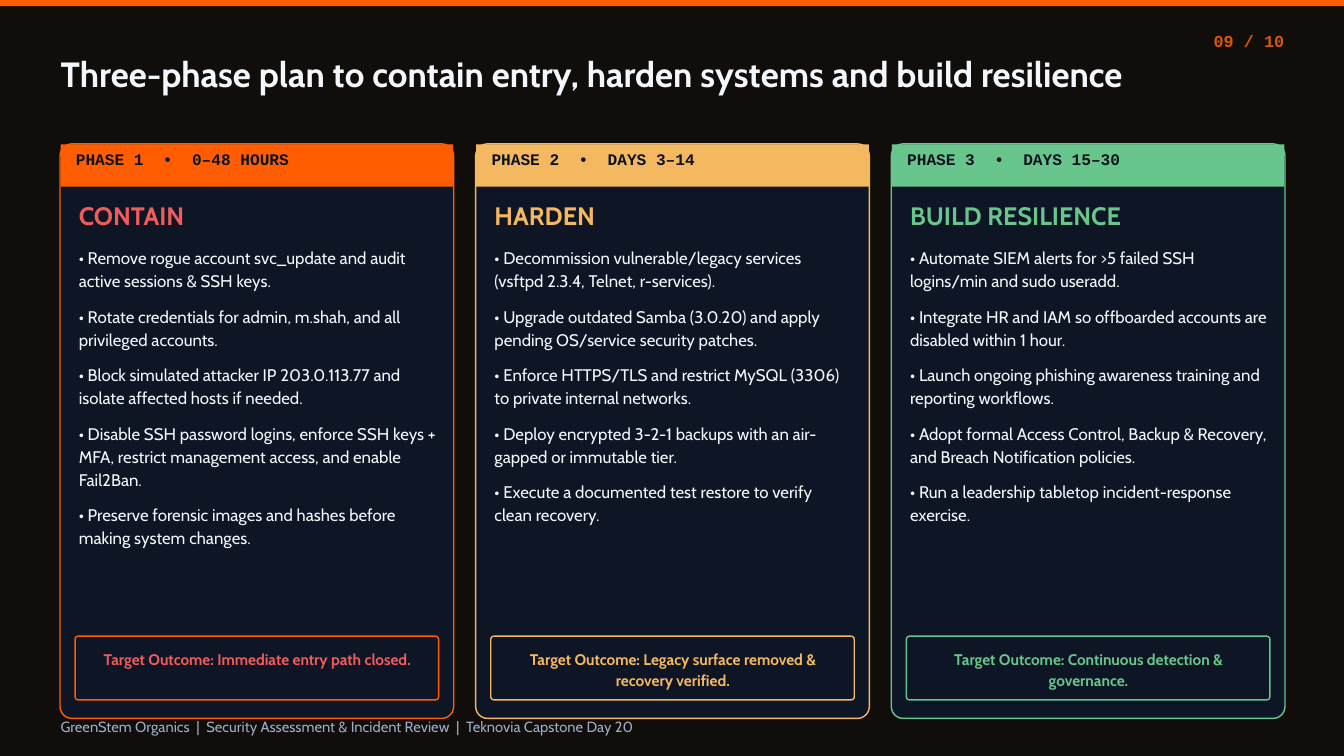
from dataclasses import dataclass

from pptx import Presentation
from pptx.dml.color import RGBColor
from pptx.enum.shapes import MSO_SHAPE as Preset
from pptx.enum.text import PP_ALIGN as Align
from pptx.util import Cm, Pt


@dataclass(frozen=True)
class Theme:
    # Colours
    background: str = "110D0B"
    panel: str = "0E1626"
    text: str = "F4F7FB"
    ink: str = "0B1220"
    muted: str = "9CADC6"
    orange: str = "FF5D00"
    page_number: str = "D7570E"
    red: str = "F05B5B"
    amber: str = "F4B860"
    green: str = "68C68C"
    # Fonts
    sans: str = "Cabin"
    mono: str = "Courier New"
    # Type styles: size and line spacing in points
    title: tuple = (37.5, 51.8)
    number: tuple = (18, 24.9)
    label: tuple = (17.3, 23.8)
    heading: tuple = (27, 37.3)
    body: tuple = (18, 24.6)
    outcome: tuple = (16.5, 22.8)
    footer: tuple = (15.8, 21.8)
    action_gap: float = 13.5
    outline: float = 1.5


THEME = Theme()
CARD_LEFT, CARD_TOP = 2.27, 5.44
CARD_WIDTH, CARD_HEIGHT = 14.88, 21.72
CARD_PITCH = 15.71


@dataclass(frozen=True)
class Phase:
    label: str
    heading: str
    accent: str
    text_color: str
    actions: tuple
    outcome: str


PHASES = (
    Phase(
        "PHASE 1  •  0–48 HOURS", "CONTAIN", THEME.orange, THEME.red,
        (
            "Remove rogue account svc_update and audit active sessions & SSH keys.",
            "Rotate credentials for admin, m.shah, and all privileged accounts.",
            "Block simulated attacker IP 203.0.113.77 and isolate affected hosts if needed.",
            "Disable SSH password logins, enforce SSH keys + MFA, restrict management "
            "access, and enable Fail2Ban.",
            "Preserve forensic images and hashes before making system changes.",
        ),
        "Immediate entry path closed.",
    ),
    Phase(
        "PHASE 2  •  DAYS 3–14", "HARDEN", THEME.amber, THEME.amber,
        (
            "Decommission vulnerable/legacy services (vsftpd 2.3.4, Telnet, r-services).",
            "Upgrade outdated Samba (3.0.20) and apply pending OS/service security patches.",
            "Enforce HTTPS/TLS and restrict MySQL (3306) to private internal networks.",
            "Deploy encrypted 3-2-1 backups with an air-gapped or immutable tier.",
            "Execute a documented test restore to verify clean recovery.",
        ),
        "Legacy surface removed & recovery verified.",
    ),
    Phase(
        "PHASE 3  •  DAYS 15–30", "BUILD RESILIENCE", THEME.green, THEME.green,
        (
            "Automate SIEM alerts for >5 failed SSH logins/min and sudo useradd.",
            "Integrate HR and IAM so offboarded accounts are disabled within 1 hour.",
            "Launch ongoing phishing awareness training and reporting workflows.",
            "Adopt formal Access Control, Backup & Recovery, and Breach Notification policies.",
            "Run a leadership tabletop incident-response exercise.",
        ),
        "Continuous detection & governance.",
    ),
)


def color(value):
    return RGBColor.from_string(value)


def add_panel(page, left, top, width, height, fill, line=None, radius=None):
    """Add a filled rectangle, rounded when a radius is given (in cm)."""
    preset = Preset.ROUNDED_RECTANGLE if radius else Preset.RECTANGLE
    panel = page.shapes.add_shape(preset, Cm(left), Cm(top), Cm(width), Cm(height))
    panel.shadow.inherit = False
    if radius:
        panel.adjustments[0] = radius / min(width, height)
    panel.fill.solid()
    panel.fill.fore_color.rgb = color(fill)
    if line:
        panel.line.color.rgb = color(line)
        panel.line.width = Pt(THEME.outline)
    else:
        panel.line.fill.background()


def add_text(page, left, top, width, height, lines, style, ink,
             font=THEME.sans, bold=False, align=Align.LEFT, gap=0):
    """Add a text box without insets, one paragraph for each line."""
    box = page.shapes.add_textbox(Cm(left), Cm(top), Cm(width), Cm(height))
    frame = box.text_frame
    frame.word_wrap = True
    frame.margin_left = frame.margin_right = 0
    frame.margin_top = frame.margin_bottom = 0
    size, spacing = style
    for index, line in enumerate(lines):
        para = frame.add_paragraph() if index else frame.paragraphs[0]
        para.alignment = align
        para.line_spacing = Pt(spacing)
        if index and gap:
            para.space_before = Pt(gap)
        span = para.add_run()
        span.text = line
        span.font.name = font
        span.font.size = Pt(size)
        span.font.bold = bold
        span.font.color.rgb = color(ink)


def add_phase_card(page, left, phase):
    # Card and coloured header band
    add_panel(page, left, CARD_TOP, CARD_WIDTH, CARD_HEIGHT,
              THEME.panel, phase.accent, radius=0.45)
    add_panel(page, left + 0.02, 5.46, CARD_WIDTH - 0.04, 1.6, phase.accent)
    add_text(page, left + 0.6, 5.54, 13.72, 1.32, [phase.label],
             THEME.label, THEME.ink, font=THEME.mono, bold=True)

    # Heading and actions
    add_text(page, left + 0.71, 7.39, 13.54, 1.73, [phase.heading],
             THEME.heading, phase.text_color, bold=True)
    add_text(page, left + 0.71, 9.27, 13.54, 14.38,
             [f"• {action}" for action in phase.actions],
             THEME.body, THEME.text, gap=THEME.action_gap)

    # Target outcome
    add_panel(page, left + 0.57, 24.05, 13.74, 2.41,
              THEME.panel, phase.accent, radius=0.12)
    add_text(page, left + 0.94, 24.46, 13.03, 1.52,
             [f"Target Outcome: {phase.outcome}"],
             THEME.outcome, phase.text_color, bold=True, align=Align.CENTER)


def main():
    deck = Presentation()
    deck.slide_width, deck.slide_height = Cm(50.8), Cm(28.58)
    page = deck.slides.add_slide(deck.slide_layouts[6])
    page.background.fill.solid()
    page.background.fill.fore_color.rgb = color(THEME.background)

    # Top bar, title and page number
    add_panel(page, 0, 0, 50.8, 0.23, THEME.orange)
    add_text(page, 2.29, 1.75, 43.08, 2.26,
             ["Three-phase plan to contain entry, harden systems and build resilience"],
             THEME.title, THEME.text, bold=True)
    add_text(page, 45.36, 1.04, 3.18, 1.52, ["09 / 10"], THEME.number,
             THEME.page_number, font=THEME.mono, bold=True, align=Align.RIGHT)

    # Phase cards
    for index, phase in enumerate(PHASES):
        add_phase_card(page, CARD_LEFT + index * CARD_PITCH, phase)

    # Footer
    add_text(page, 2.29, 27.05, 46.25, 1.07,
             ["GreenStem Organics  |  Security Assessment & Incident Review  |  "
              "Teknovia Capstone Day 20"],
             THEME.footer, THEME.muted)

    deck.save("out.pptx")


if __name__ == "__main__":
    main()
